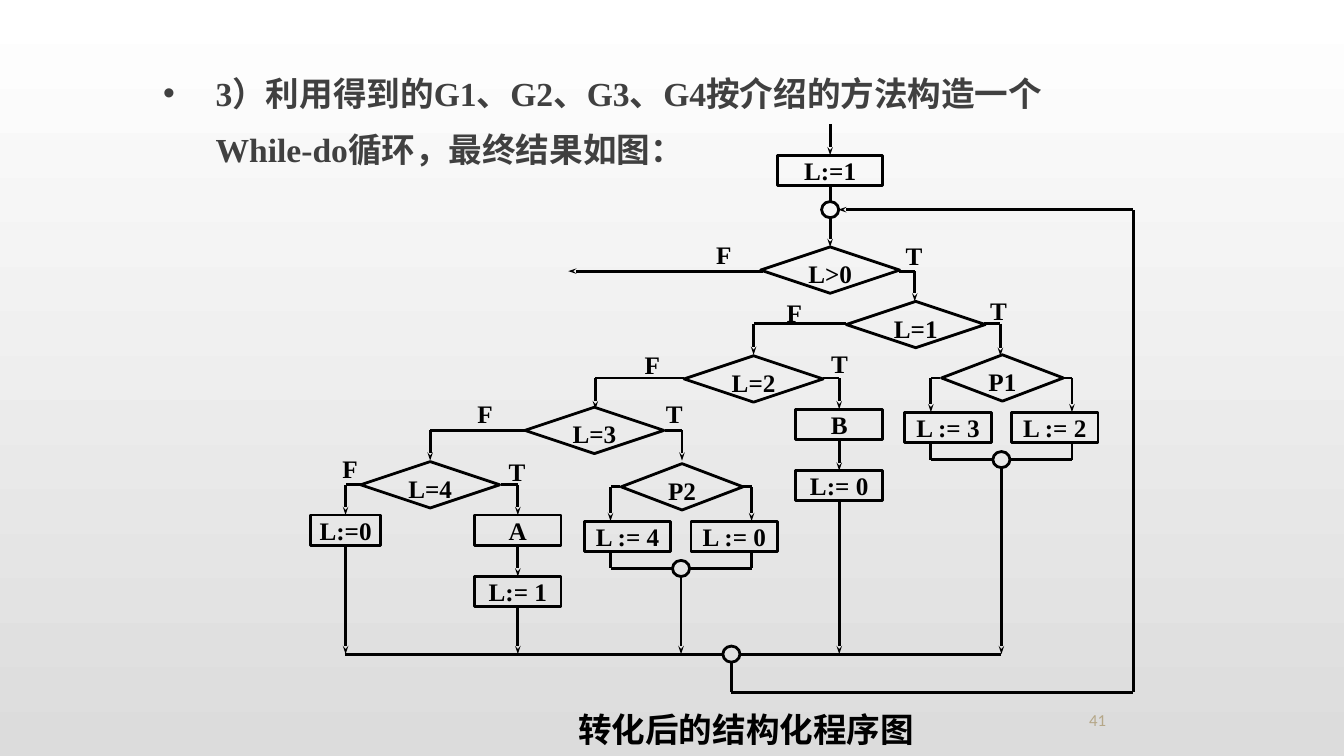
from lxml.etree import SubElement
from pptx import Presentation
from pptx.dml.color import RGBColor
from pptx.enum.shapes import MSO_CONNECTOR, MSO_SHAPE
from pptx.enum.text import MSO_ANCHOR, PP_ALIGN
from pptx.oxml.ns import qn
from pptx.util import Cm, Pt

COLORS = {"ink": "000000", "title": "404040", "number": "B5A788",
          "sky": "FFFFFF", "ground": "DCDCDC"}
SERIF = "Times New Roman"
INCH = 2.54  # layout below is on an inch grid, placed in centimetres

TITLE = "3）利用得到的G1、G2、G3、G4按介绍的方法构造一个While-do循环，最终结果如图："
CAPTION = "转化后的结构化程序图"
PAGE_NUMBER = "41"

BOX_H, BOX_W, SMALL_W = 0.3, 0.86, 0.69
TEST_H, TEST_W, P_TEST_W = 0.46, 1.38, 1.21
RING_W, RING_H = 0.17, 0.16
BUS_Y, LOOP_Y, LOOP_X = 6.49, 6.87, 11.25

# text, centre x, top, width
TESTS = [("L>0", 8.24, 2.45, TEST_W), ("L=1", 9.09, 2.99, TEST_W),
         ("L=2", 7.48, 3.53, TEST_W), ("L=3", 5.9, 4.04, TEST_W),
         ("L=4", 4.27, 4.58, TEST_W)]
BOXES = [("L:=1", 8.24, 1.54, 1.04), ("L:=0", 3.43, 5.11, SMALL_W)]
# first text, second text, centre x, top
CHAINS = [("B", "L:= 0", 8.33, 4.06), ("A", "L:= 1", 5.14, 5.11)]
# test, left result, right result, centre x, top
SPLITS = [("P1", "L := 3", "L := 2", 9.94, 3.52),
          ("P2", "L := 4", "L := 0", 6.76, 4.6)]
RINGS = [(8.24, 2.08), (7.26, 6.49)]  # centres

# way points; every route ends in an arrowhead
ARROWS = [
    [(8.24, 1.23), (8.24, 1.54)],
    [(8.24, 2.15), (8.24, 2.45)],
    [(7.57, 2.69), (5.64, 2.69)],
    [(8.92, 2.69), (9.08, 2.69), (9.08, 2.99)],
    [(8.4, 3.21), (7.48, 3.21), (7.48, 3.52)],
    [(9.77, 3.21), (9.93, 3.21), (9.93, 3.53)],
    [(6.79, 3.75), (5.91, 3.75), (5.91, 4.06)],
    [(8.17, 3.75), (8.33, 3.75), (8.33, 4.06)],
    [(5.22, 4.27), (4.27, 4.27), (4.27, 4.57)],
    [(6.6, 4.27), (6.77, 4.27), (6.77, 4.57)],
    [(3.6, 4.81), (3.43, 4.81), (3.43, 5.11)],
    [(4.97, 4.81), (5.14, 4.81), (5.14, 5.11)],
    [(3.43, 5.42), (3.43, BUS_Y)],
    [(7.26, 6.58), (7.26, LOOP_Y), (LOOP_X, LOOP_Y), (LOOP_X, 2.08), (8.32, 2.08)],
]
PLAIN_LINES = [
    [(8.24, 1.84), (8.24, 2.0)],
    [(3.42, BUS_Y), (7.18, BUS_Y)],
    [(7.35, BUS_Y), (9.94, BUS_Y)],
]
BRANCH_LABELS = {  # left, top
    "F": [(7.01, 2.17), (7.71, 2.75), (6.3, 3.27), (4.64, 3.75), (3.3, 4.3)],
    "T": [(8.89, 2.18), (9.73, 2.73), (8.15, 3.26), (6.51, 3.75), (4.95, 4.33)],
}


def size(inches):
    return Cm(inches * INCH)


def color(name):
    return RGBColor.from_string(COLORS[name])


def write(shape, text, points=18, ink="ink", font=SERIF, bold=True,
          align=PP_ALIGN.CENTER, anchor=MSO_ANCHOR.TOP, margins=(0, 0)):
    frame = shape.text_frame
    frame.word_wrap = True
    frame.vertical_anchor = anchor
    frame.margin_left = frame.margin_right = size(margins[0])
    frame.margin_top = frame.margin_bottom = size(margins[1])
    para = frame.paragraphs[0]
    para.alignment = align
    span = para.add_run()
    span.text = text
    span.font.size, span.font.bold, span.font.name = Pt(points), bold, font
    span.font.color.rgb = color(ink)
    return para


def hang(para, inches):
    props = para._p.get_or_add_pPr()
    props.set("marL", str(size(inches)))
    props.set("indent", str(-size(inches)))
    return props


def add_text(page, left, top, width, height, text, **style):
    box = page.shapes.add_textbox(size(left), size(top), size(width), size(height))
    return write(box, text, **style)


def add_node(page, kind, center, top, width, height, text=None):
    node = page.shapes.add_shape(kind, size(center - width / 2), size(top),
                                 size(width), size(height))
    node.shadow.inherit = False
    node.fill.background()
    node.line.color.rgb = color("ink")
    node.line.width = Pt(2)
    if text:
        write(node, text)


def add_box(page, text, center, top, width=BOX_W):
    add_node(page, MSO_SHAPE.RECTANGLE, center, top, width, BOX_H, text)


def add_test(page, text, center, top, width):
    add_node(page, MSO_SHAPE.FLOWCHART_DECISION, center, top, width, TEST_H, text)


def add_ring(page, center, middle):
    add_node(page, MSO_SHAPE.OVAL, center, middle - RING_H / 2, RING_W, RING_H)


def add_route(page, points, arrow=True):
    for start, end in zip(points, points[1:]):
        line = page.shapes.add_connector(MSO_CONNECTOR.STRAIGHT,
                                         *map(size, start + end))
        line.line.color.rgb = color("ink")
        line.line.width = Pt(2)
        props = line._element.spPr
        if arrow and end == points[-1]:
            SubElement(props.find(qn("a:ln")), qn("a:tailEnd"),
                       type="stealth", w="sm", len="med")
        SubElement(props, qn("a:effectLst"))


def add_chain(page, first, second, center, top):
    for step, text in enumerate((first, second)):
        add_box(page, text, center, top + 0.61 * step)
    add_route(page, [(center, top + BOX_H), (center, top + 0.61)])
    add_route(page, [(center, top + 0.91), (center, BUS_Y)])


def add_split(page, test, left, right, center, top):
    add_test(page, test, center + 0.01, top, P_TEST_W)
    middle, join = top + TEST_H / 2, top + 1.04
    for side, text in ((-1, left), (1, right)):
        outer = center + 0.7 * side
        add_box(page, text, center + 0.53 * side, top + 0.57)
        add_route(page, [(center + 0.61 * side, middle), (outer, middle),
                         (outer, top + 0.57)])
        add_route(page, [(outer, top + 0.87), (outer, join),
                         (center + RING_W / 2 * side, join)], arrow=False)
    add_ring(page, center, join)
    add_route(page, [(center, join + RING_H / 2), (center, BUS_Y)])


def main():
    deck = Presentation()
    deck.slide_width, deck.slide_height = size(13.34), size(7.5)
    page = deck.slides.add_slide(deck.slide_layouts[6])

    # Background
    fill = page.background.fill
    fill.gradient()
    fill.gradient_angle = 270
    for stop, name in zip(fill.gradient_stops, ("sky", "ground")):
        stop.color.rgb = color(name)

    # Title with bullet
    para = add_text(page, 1.62, 0.51, 8.83, 1.25, TITLE, points=24, ink="title",
                    align=PP_ALIGN.LEFT, margins=(0, 0.05))
    para.line_spacing, para.space_after = 1.4, Pt(10)
    props = hang(para, 0.52)
    bullet_color = SubElement(props, qn("a:buClr"))
    SubElement(bullet_color, qn("a:srgbClr"), val=COLORS["title"])
    SubElement(props, qn("a:buFont"), typeface="Arial")
    SubElement(props, qn("a:buChar"), char="•")

    # Flow chart
    for test in TESTS:
        add_test(page, *test)
    for box in BOXES:
        add_box(page, *box)
    for chain in CHAINS:
        add_chain(page, *chain)
    for split in SPLITS:
        add_split(page, *split)
    for ring in RINGS:
        add_ring(page, *ring)
    for route in ARROWS:
        add_route(page, route)
    for route in PLAIN_LINES:
        add_route(page, route, arrow=False)

    # Branch labels
    for text, places in BRANCH_LABELS.items():
        for left, top in places:
            para = add_text(page, left, top, 0.39, 0.55, text,
                            align=PP_ALIGN.JUSTIFY, margins=(0.1, 0.05))
            para.line_spacing, para.space_before = 1.5, Pt(11.2)
            hang(para, 0.83)

    # Caption and page number
    add_text(page, 5.42, 7.03, 3.97, 0.4, CAPTION, points=24)
    add_text(page, 9.42, 6.94, 2.95, 0.35, PAGE_NUMBER, points=12, ink="number",
             font="Calibri", bold=False, anchor=MSO_ANCHOR.BOTTOM,
             margins=(0.1, 0.05))
    deck.save("out.pptx")


if __name__ == "__main__":
    main()
